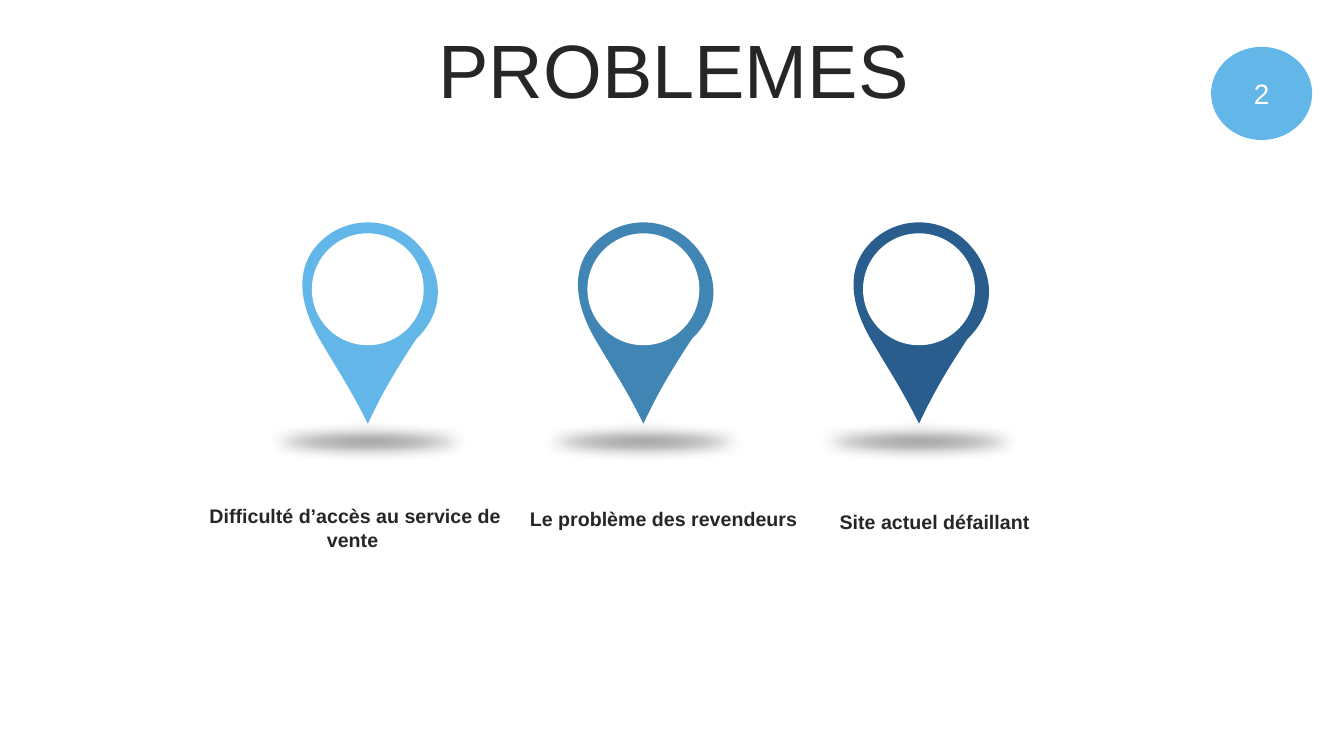
from dataclasses import dataclass

from lxml import etree
from pptx import Presentation
from pptx.dml.color import RGBColor
from pptx.enum.shapes import MSO_SHAPE
from pptx.enum.text import MSO_ANCHOR, PP_ALIGN
from pptx.oxml.ns import qn
from pptx.util import Cm, Pt

OVAL = MSO_SHAPE.OVAL
MIDDLE = MSO_ANCHOR.MIDDLE
CENTER = PP_ALIGN.CENTER

WHITE = RGBColor(0xFF, 0xFF, 0xFF)
DARK = RGBColor(0x26, 0x26, 0x26)
SHADOW = RGBColor(0x40, 0x40, 0x40)
SKY = RGBColor(0x62, 0xB7, 0xE8)
STEEL = RGBColor(0x41, 0x85, 0xB5)
NAVY = RGBColor(0x28, 0x5D, 0x8D)

FIRST_PIN, PIN_STEP = 9.27, 6.945
PIN_TOP, PIN_SIZE, PIN_TURN = 5.74, 4.09, 135
HOLE_TOP, HOLE_SIZE = 5.88, 2.82
SHADOW_TOP, SHADOW_W, SHADOW_H = 10.59, 7.09, 1.07

# Teardrop in its own square, before it is turned: two handles and an end per curve
PIN_START = (0, 2.38)
PIN_CURVES = [
    ((0, 1.44), (0.62, 0.62), (1.71, 0.65)),
    ((2.48, 0.49), (3.19, 0.33), (PIN_SIZE, 0)),
    ((3.78, 0.92), (3.67, 1.5), (3.44, 2.38)),
    ((3.19, 3.31), (2.66, PIN_SIZE), (1.71, PIN_SIZE)),
    ((0.78, PIN_SIZE), (0, 3.33), PIN_START),
]


@dataclass
class Box:
    left: float
    top: float
    width: float
    height: float

    def emu(self) -> list:
        return [Cm(v) for v in (self.left, self.top, self.width, self.height)]


@dataclass
class Problem:
    color: RGBColor
    label: str
    box: Box


PROBLEMS = [
    Problem(SKY, "Difficulté d’accès au service de vente ", Box(4.37, 12.57, 9.17, 1.45)),
    Problem(STEEL, "Le problème des revendeurs", Box(12.8, 12.65, 7.85, 0.86)),
    Problem(NAVY, "Site actuel défaillant", Box(20.57, 12.71, 5.97, 0.86)),
]


def write(sp, text: str, color: RGBColor, font: dict, para: dict) -> None:
    tf = sp.text_frame
    tf.word_wrap = True
    tf.vertical_anchor = MIDDLE
    p = tf.paragraphs[0]
    r = p.add_run()
    r.text = text
    r.font.color.rgb = color
    for target, values in ((r.font, {"name": "Arial", **font}),
                           (p, {"alignment": CENTER, **para})):
        for name, value in values.items():
            setattr(target, name, value)


def add_text(s, box: Box, text: str, font: dict, para: dict) -> None:
    write(s.shapes.add_textbox(*box.emu()), text, DARK, font, para)


def paint(sp, color: RGBColor) -> None:
    sp.shadow.inherit = False
    sp.fill.solid()
    sp.fill.fore_color.rgb = color
    sp.line.fill.background()


def add_oval(shapes, box: Box, color: RGBColor):
    sp = shapes.add_shape(OVAL, *box.emu())
    paint(sp, color)
    return sp


def bend(sp, curves: list) -> None:
    """Turn each straight segment of a freeform into a Bezier curve."""
    segments = list(sp._element.iter(qn("a:lnTo")))
    for segment, curve in zip(segments, curves):
        segment.tag = qn("a:cubicBezTo")
        segment.clear()
        for x, y in curve:
            etree.SubElement(segment, qn("a:pt"), x=str(int(Cm(x))), y=str(int(Cm(y))))


def add_teardrop(shapes, left: float, color: RGBColor) -> None:
    start, *ends = [(Cm(x), Cm(y)) for x, y in
                    [PIN_START] + [curve[-1] for curve in PIN_CURVES]]
    builder = shapes.build_freeform(*start, scale=1.0)
    builder.add_line_segments(ends, close=True)
    sp = builder.convert_to_shape(Cm(left), Cm(PIN_TOP))
    # A changed tag needs a fresh element, so each segment is replaced in place
    for segment in list(sp._element.iter(qn("a:lnTo"))):
        outline = segment.getparent()
        outline.replace(segment, etree.Element(qn("a:cubicBezTo")))
    for segment, curve in zip(sp._element.iter(qn("a:cubicBezTo")), PIN_CURVES):
        for x, y in curve:
            etree.SubElement(segment, qn("a:pt"), x=str(int(Cm(x))), y=str(int(Cm(y))))
    sp.rotation = PIN_TURN
    paint(sp, color)


def soften(sp, opacity: int, radius: Pt) -> None:
    """Make the fill translucent and blur the edge."""
    fill = sp._element.spPr.find(qn("a:solidFill"))
    etree.SubElement(fill[0], qn("a:alpha"), val=str(opacity * 1000))
    effects = sp._element.spPr.find(qn("a:effectLst"))
    etree.SubElement(effects, qn("a:softEdge"), rad=str(int(radius)))


def add_pin(s, axis: float, color: RGBColor) -> None:
    shapes = s.shapes.add_group_shape().shapes
    add_teardrop(shapes, axis - PIN_SIZE / 2, color)
    add_oval(shapes, Box(axis - HOLE_SIZE / 2, HOLE_TOP, HOLE_SIZE, HOLE_SIZE), WHITE)
    shadow = Box(axis - SHADOW_W / 2, SHADOW_TOP, SHADOW_W, SHADOW_H)
    soften(add_oval(shapes, shadow, SHADOW), 58, Pt(10))


def main() -> None:
    prs = Presentation()
    prs.slide_width, prs.slide_height = Cm(33.87), Cm(19.05)
    s = prs.slides.add_slide(prs.slide_layouts[6])

    add_text(s, Box(0.9, 0.86, 32.16, 2.01), "PROBLEMES", {"size": Pt(54)},
             {"line_spacing": 0.9, "space_before": Pt(10)})
    for i, problem in enumerate(PROBLEMS):
        add_pin(s, FIRST_PIN + i * PIN_STEP, problem.color)
    for problem in PROBLEMS:
        add_text(s, problem.box, problem.label, {"size": Pt(14), "bold": True}, {})

    badge = add_oval(s.shapes, Box(30.54, 1.2, 2.51, 2.31), SKY)
    badge.line.color.rgb = SKY
    badge.line.width = Pt(1)
    write(badge, "2", WHITE, {"size": Pt(20)}, {})

    prs.save("out.pptx")


if __name__ == "__main__":
    main()
